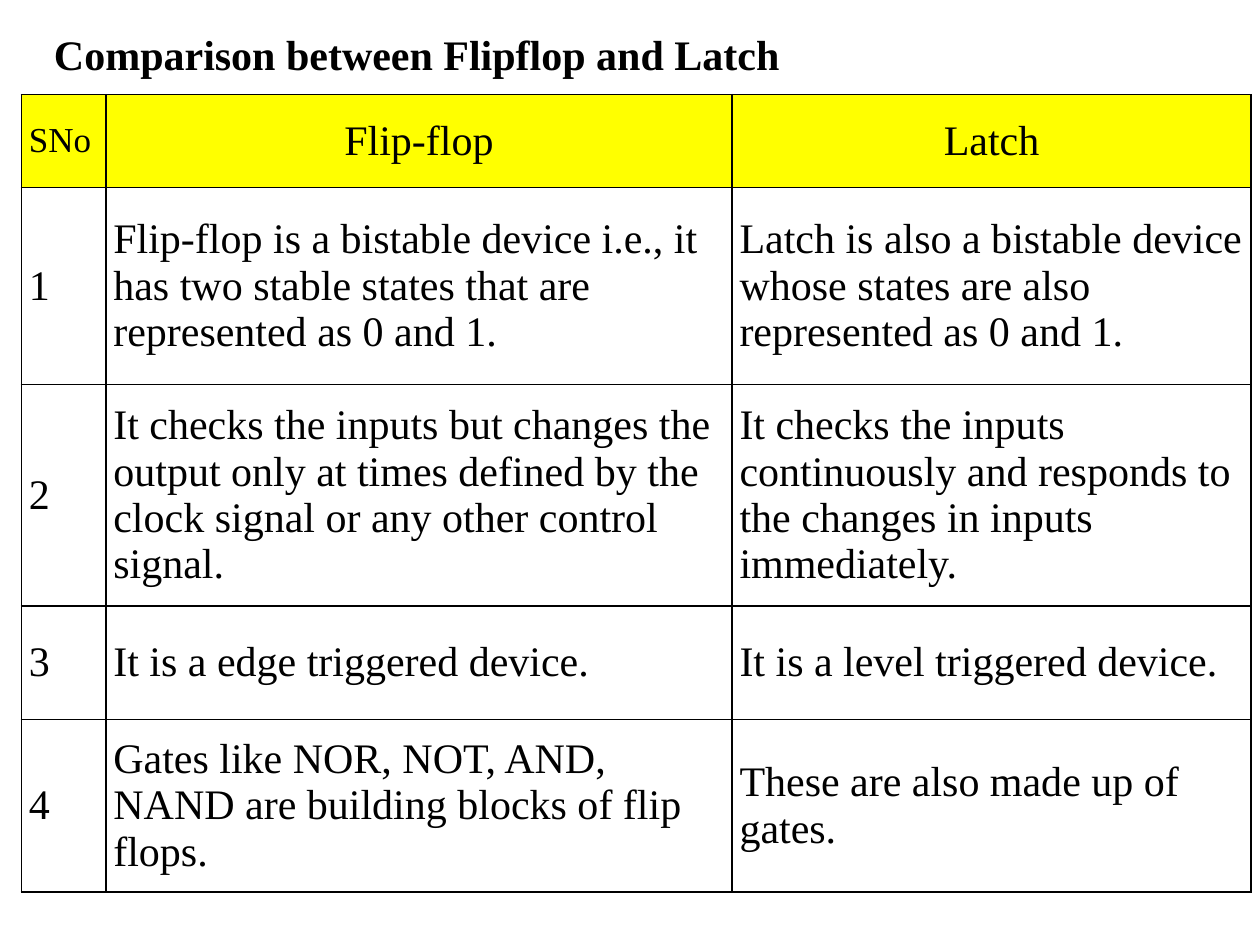
"""Build a slide comparing flip-flops and latches in a table."""
import pptx
import pptx.dml.color
import pptx.enum.text
import pptx.util
import lxml.etree

FONT = "Times New Roman"
NS = "http://schemas.openxmlformats.org/drawingml/2006/main"
COLS = [0.67, 4.97, 4.12]
ROWS = [0.74, 1.56, 1.76, 0.9, 1.37]
DATA = [
    ("SNo", "Flip-flop", "Latch"),
    ("1", "Flip-flop is a bistable device i.e., it has two stable states that are represented as 0 and 1.",
     "Latch is also a bistable device whose states are also represented as 0 and 1."),
    ("2", "It checks the inputs but changes the output only at times defined by the clock signal or any other control signal.",
     "It checks the inputs continuously and responds to the changes in inputs immediately."),
    ("3", "It is a edge triggered device.", "It is a level triggered device."),
    ("4", "Gates like NOR, NOT, AND, NAND are building blocks of flip flops.",
     "These are also made up of gates."),
]


def color(value):
    return pptx.dml.color.RGBColor.from_string(value)


def style(p, size, bold=False):
    p.font.name = FONT
    p.font.size = pptx.util.Pt(size)
    p.font.bold = bold
    p.font.color.rgb = color("000000")


inch = pptx.util.Inches
prs = pptx.Presentation()
prs.slide_width, prs.slide_height = inch(10), inch(7.5)
s = prs.slides.add_slide(prs.slide_layouts[6])

table = s.shapes.add_table(len(ROWS), len(COLS), inch(0.17), inch(0.75),
                           inch(sum(COLS)), inch(sum(ROWS))).table
table.horz_banding = False
for col, width in zip(table.columns, COLS):
    col.width = inch(width)

for i, (row, height) in enumerate(zip(table.rows, ROWS)):
    row.height = inch(height)
    for j, cell in enumerate(row.cells):
        cell.text = DATA[i][j]
        cell.vertical_anchor = pptx.enum.text.MSO_ANCHOR.MIDDLE
        cell.margin_left = cell.margin_right = inch(0.06)
        cell.margin_top = cell.margin_bottom = inch(0.08 if i else 0.03)
        p = cell.text_frame.paragraphs[0]
        style(p, 20 if i == j == 0 else 24)
        if i == 0 and j > 0:
            p.alignment = pptx.enum.text.PP_ALIGN.CENTER
        tc_pr = cell._tc.get_or_add_tcPr()
        for side in "LRTB":
            ln = lxml.etree.SubElement(tc_pr, f"{{{NS}}}ln{side}", w=str(pptx.util.Pt(1)))
            fill = lxml.etree.SubElement(ln, f"{{{NS}}}solidFill")
            lxml.etree.SubElement(fill, f"{{{NS}}}srgbClr", val="000000")
        if i == 0:
            cell.fill.solid()
            cell.fill.fore_color.rgb = color("FFFF00")
        else:
            cell.fill.background()

tf = s.shapes.add_textbox(inch(0.33), inch(0.18), inch(9.42), inch(0.5)).text_frame
tf.word_wrap = True
tf.auto_size = pptx.enum.text.MSO_AUTO_SIZE.SHAPE_TO_FIT_TEXT
tf.text = "Comparison between Flipflop and Latch"
style(tf.paragraphs[0], 24, bold=True)

prs.save("out.pptx")
